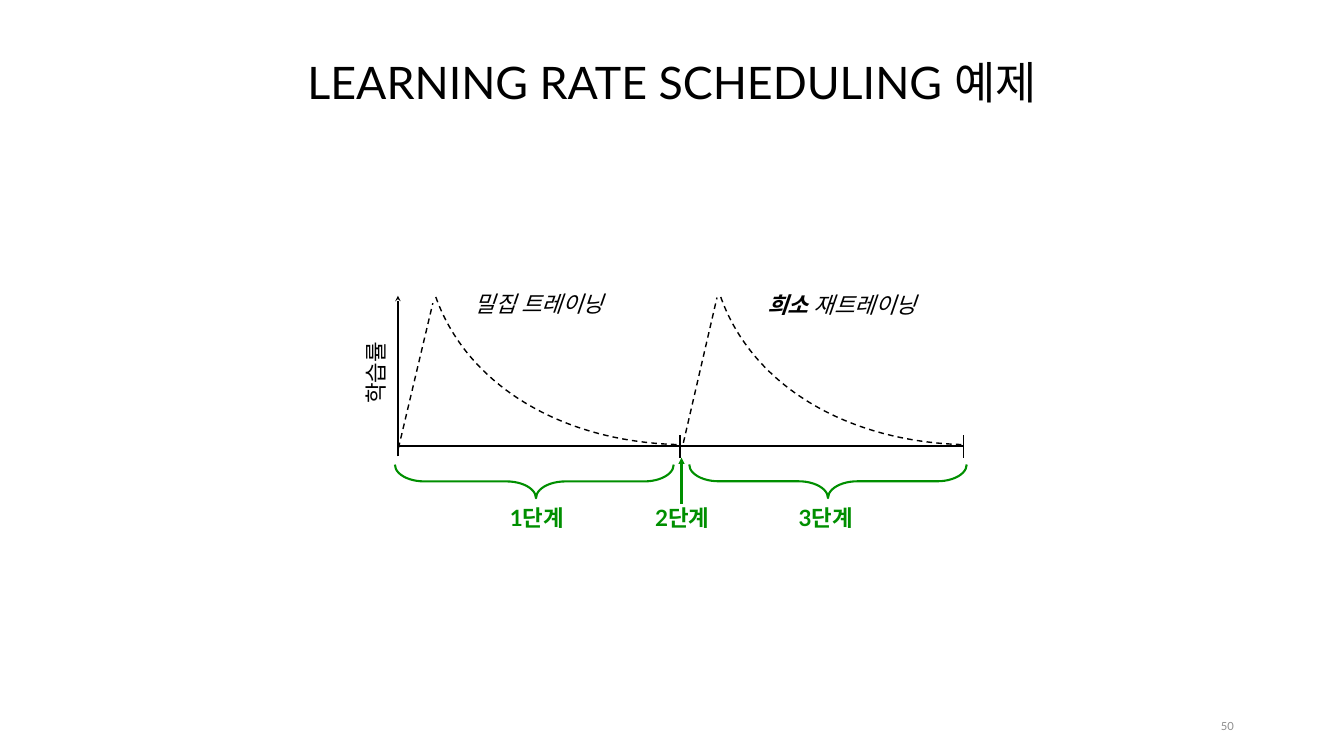
import pptx
import pptx.util
import pptx.dml.color
import pptx.enum.dml
import pptx.enum.shapes
import pptx.enum.text
import pptx.oxml.ns
from lxml import etree

Cm = pptx.util.Cm
Pt = pptx.util.Pt
Align = pptx.enum.text.PP_ALIGN
Anchor = pptx.enum.text.MSO_ANCHOR
Shape = pptx.enum.shapes.MSO_SHAPE
qn = pptx.oxml.ns.qn

BLACK = pptx.dml.color.RGBColor(0x00, 0x00, 0x00)
GREEN = pptx.dml.color.RGBColor(0x00, 0x8F, 0x00)
GRAY = pptx.dml.color.RGBColor(0x8C, 0x8C, 0x8C)

# Content; all lengths are in centimetres
TITLE = "LEARNING RATE SCHEDULING 예제"
PAGE = "50"
RATE = "학습률"
# caption parts as (text, bold), caption box, ramp from, ramp to, arc left
CYCLES = [
    ([("밀집 트레이닝", False)], (17.7, 10.85, 9.65, 1.27),
     (15.06, 16.94), (16.36, 11.46), 15.77),
    ([("희소", True), (" 재트레이닝", False)], (28.75, 10.87, 11.35, 1.27),
     (25.83, 16.74), (27.1, 11.25), 26.54),
]
STEPS = [("1단계", 18.77), ("2단계", 24.26), ("3단계", 29.69)]
# box before the quarter turn, position of the tip
BRACES = [((19.56, 12.93, 1.27, 10.54), 0.494),
          ((30.66, 12.95, 1.27, 10.49), 0.5)]

LEFT, MID, RIGHT = 15.04, 25.7, 36.42
BASE, TOP = 16.87, 11.18
TICK = (16.46, 17.3)
STEP_TOP = 19.05

deck = pptx.Presentation()
deck.slide_width, deck.slide_height = Cm(50.8), Cm(28.58)
slide = deck.slides.add_slide(deck.slide_layouts[5])
shapes = slide.shapes


def write(parts, box, shape=None, size=24, font="Calibri", color=BLACK,
          bold=False, italic=False, align=Align.LEFT, anchor=Anchor.TOP,
          space=1.0, inset=True, turn=0):
    """Put text, or a list of (text, bold) parts, in a box."""
    box = [Cm(n) for n in box]
    if shape is None:
        shape = shapes.add_textbox(*box)
    else:
        shape.left, shape.top, shape.width, shape.height = box
    shape.rotation = turn
    frame = shape.text_frame
    frame.word_wrap = True
    frame.auto_size = pptx.enum.text.MSO_AUTO_SIZE.NONE
    frame.vertical_anchor = anchor
    if not inset:
        frame.margin_left = frame.margin_right = 0
        frame.margin_top = frame.margin_bottom = 0
    para = frame.paragraphs[0]
    para.alignment, para.line_spacing = align, space
    if isinstance(parts, str):
        parts = [(parts, bold)]
    for text, heavy in parts:
        run = para.add_run()
        run.text = text
        run.font.name, run.font.size = font, Pt(size)
        run.font.bold, run.font.italic = heavy, italic
        run.font.color.rgb = color


def stroke(line, color, width, dash=False):
    line.color.rgb, line.width = color, Pt(width)
    if dash:
        line.dash_style = pptx.enum.dml.MSO_LINE.DASH


def link(start, end, color=BLACK, width=2, dash=False, head=None):
    """Draw a straight line, with an arrowhead at its end if named."""
    line = shapes.add_connector(pptx.enum.shapes.MSO_CONNECTOR.STRAIGHT,
                                *[Cm(n) for n in (*start, *end)])
    stroke(line.line, color, width, dash)
    if head:
        etree.SubElement(line.line._get_or_add_ln(), qn("a:tailEnd"), type=head)
    etree.SubElement(line._element.spPr, qn("a:effectLst"))


def curve(kind, box, turn, adjust, color, width, dash=False):
    """Draw an unfilled, rotated preset outline."""
    shape = shapes.add_shape(kind, *[Cm(n) for n in box])
    shape.rotation = turn
    for i, value in enumerate(adjust):
        shape.adjustments[i] = value
    shape.shadow.inherit = False
    shape.fill.background()
    stroke(shape.line, color, width, dash)


write(TITLE, (2.31, 1.52, 46.18, 2.74), shape=shapes.title, size=48,
      font="Lato", align=Align.CENTER, anchor=Anchor.BOTTOM, space=0.9)
write(PAGE, (45.14, 27.2, 1.5, 0.51), size=12, font="Lato", color=GRAY,
      align=Align.RIGHT, anchor=Anchor.MIDDLE, inset=False)

# Axes
link((LEFT, 17.25), (LEFT, TOP), head="stealth")
link((LEFT, BASE), (RIGHT, BASE))
for x in (MID, RIGHT):
    link((x, TICK[0]), (x, TICK[1]))
write(RATE, (11.46, 13.46, 5.51, 1.27), align=Align.CENTER, turn=270)

# Warm-up ramp and decay of each cycle
for parts, box, start, end, left in CYCLES:
    link(start, end, width=1.5, dash=True)
    curve(Shape.ARC, (left, -2.18, 24.66, 18.62), 160.8, (182.31, 0),
          BLACK, 1.5, dash=True)
    write(parts, box, italic=True)

# Steps below the axis
for box, tip in BRACES:
    curve(Shape.RIGHT_BRACE, box, 90, (0.878, tip), GREEN, 2.25)
for text, left in STEPS:
    write(text, (left, STEP_TOP, 3.05, 1.17), font="Lato", color=GREEN,
          bold=True, align=Align.CENTER, anchor=Anchor.MIDDLE, space=0.9)
link((25.76, STEP_TOP), (25.76, TICK[1]), color=GREEN, width=2.25,
     head="triangle")

deck.save("out.pptx")
